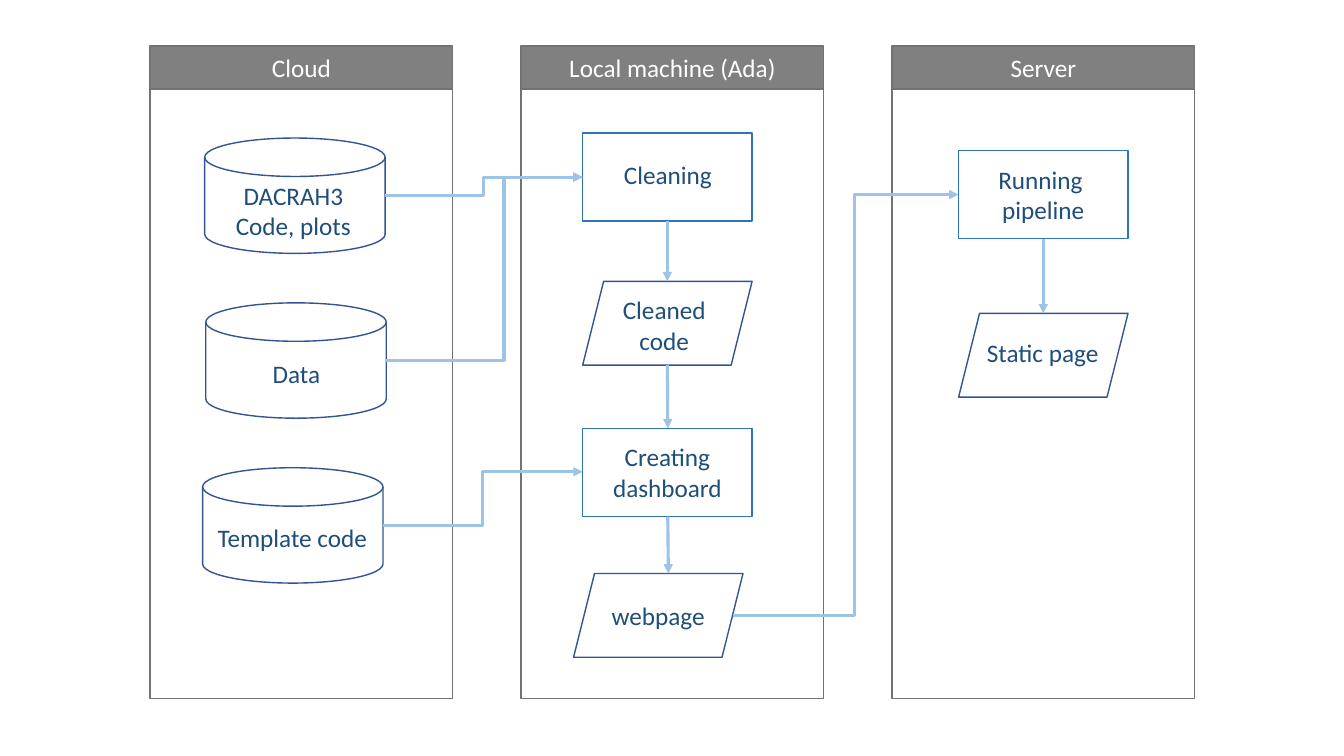
from lxml import etree
from pptx import Presentation
from pptx.dml.color import RGBColor
from pptx.enum import shapes, text
from pptx.oxml.ns import qn
from pptx.util import Pt

GREY, LANE_LINE = "808080", "767171"
NAVY, BLUE, ARROW, LABEL = "325491", "2E75B6", "9DC3E6", "1F4E79"
KIND = shapes.MSO_SHAPE

# Lanes
LANES = ["Cloud", "Local machine (Ada)", "Server"]
LANE_LEFT, LANE_STEP, LANE_WIDTH = 107.3, 265, 216
HEADER_TOP, HEADER_HEIGHT, BODY_HEIGHT = 33, 30.5, 435.6

# Node styles: preset, width, height, outline
STORE = (KIND.FLOWCHART_MAGNETIC_DISK, 128.9, 82.4, NAVY)
STEP = (KIND.RECTANGLE, 121, 63, BLUE)
RESULT = (KIND.PARALLELOGRAM, 121, 59.8, NAVY)

# Nodes: style, left, top, label lines, label box, label wraps
NODES = [
    (STORE, 146.2, 98.6, "DACRAH3\nCode, plots", (160.6, 125.3, 97.9, 51), False),
    (STORE, 147, 216.3, "Data", (187.2, 252.2, 49, 29), False),
    (STORE, 144.7, 334.1, "Template code", (147.6, 369.6, 122.4, 29), False),
    (STEP, 416.2, 95, "Cleaning", (437.8, 110.2, 78.5, 29), True),
    (RESULT, 416.2, 201, "Cleaned code", (435.2, 207, 78.5, 51), True),
    (STEP, 416.2, 306, "Creating dashboard", (416.2, 312, 121, 51), True),
    (RESULT, 409.7, 409.7, "webpage", (424.8, 425, 90.7, 29), True),
    (STEP, 684.7, 107.5, "Running \npipeline", (684.7, 113.8, 121, 51), True),
    (RESULT, 684.7, 223.9, "Static page", (691.9, 237.6, 105.8, 29), True),
]

# Flows: start, end, position of the bend (None when straight)
FLOWS = [
    ((273.6, 375.2), (416.2, 337), 0.5),
    ((275.8, 257.5), (416.2, 126.5), 0.6),
    ((275, 139.8), (416.2, 126.5), 0.5),
    ((523.4, 439.4), (684.7, 139), 0.54),
    ((476.7, 158), (476.7, 201), None),
    ((476.7, 260.8), (477, 306), None),
    ((477, 369), (477.4, 409.7), None),
    ((745.2, 170.5), (745.2, 223.9), None),
]


def color(hex_value):
    return RGBColor.from_string(hex_value)


def write(shape, content, hex_value):
    frame = shape.text_frame
    frame.text = content
    for paragraph in frame.paragraphs:
        paragraph.alignment = text.PP_ALIGN.CENTER
        for run in paragraph.runs:
            run.font.name = "Calibri"
            run.font.size = Pt(18)
            run.font.color.rgb = color(hex_value)


def add_box(slide, preset, left, top, width, height, outline, fill=None):
    shape = slide.shapes.add_shape(preset, Pt(left), Pt(top), Pt(width), Pt(height))
    shape.shadow.inherit = False
    shape.line.color.rgb = color(outline)
    shape.line.width = Pt(1)
    if fill:
        shape.fill.solid()
        shape.fill.fore_color.rgb = color(fill)
    else:
        shape.fill.background()
    return shape


def add_lane(slide, title, left):
    add_box(slide, KIND.RECTANGLE, left, HEADER_TOP + HEADER_HEIGHT,
            LANE_WIDTH, BODY_HEIGHT, LANE_LINE)
    header = add_box(slide, KIND.RECTANGLE, left, HEADER_TOP,
                     LANE_WIDTH, HEADER_HEIGHT, LANE_LINE, GREY)
    header.text_frame.vertical_anchor = text.MSO_ANCHOR.MIDDLE
    write(header, title, "FFFFFF")


def add_node(slide, style, left, top, content, label_box, wraps):
    preset, width, height, outline = style
    add_box(slide, preset, left, top, width, height, outline)
    label = slide.shapes.add_textbox(*(Pt(value) for value in label_box))
    label.text_frame.word_wrap = wraps
    label.text_frame.auto_size = text.MSO_AUTO_SIZE.SHAPE_TO_FIT_TEXT
    write(label, content, LABEL)


def add_flow(slide, start, end, bend):
    kind = shapes.MSO_CONNECTOR.STRAIGHT if bend is None else shapes.MSO_CONNECTOR.ELBOW
    connector = slide.shapes.add_connector(kind, *(Pt(value) for value in start + end))
    connector.line.color.rgb = color(ARROW)
    connector.line.width = Pt(2.25)
    properties = connector.element.spPr
    # Arrowhead, and no shadow
    line = properties.find(qn("a:ln"))
    etree.SubElement(line, qn("a:tailEnd"), type="triangle")
    etree.SubElement(properties, qn("a:effectLst"))
    if bend is not None:
        guides = properties.find(qn("a:prstGeom")).get_or_add_avLst()
        etree.SubElement(guides, qn("a:gd"), name="adj1",
                         fmla=f"val {round(bend * 100000)}")


def main():
    presentation = Presentation()
    presentation.slide_width, presentation.slide_height = Pt(960), Pt(540)
    slide = presentation.slides.add_slide(presentation.slide_layouts[6])
    for index, title in enumerate(LANES):
        add_lane(slide, title, LANE_LEFT + index * LANE_STEP)
    for node in NODES:
        add_node(slide, *node)
    for flow in FLOWS:
        add_flow(slide, *flow)
    presentation.save("out.pptx")


main()
